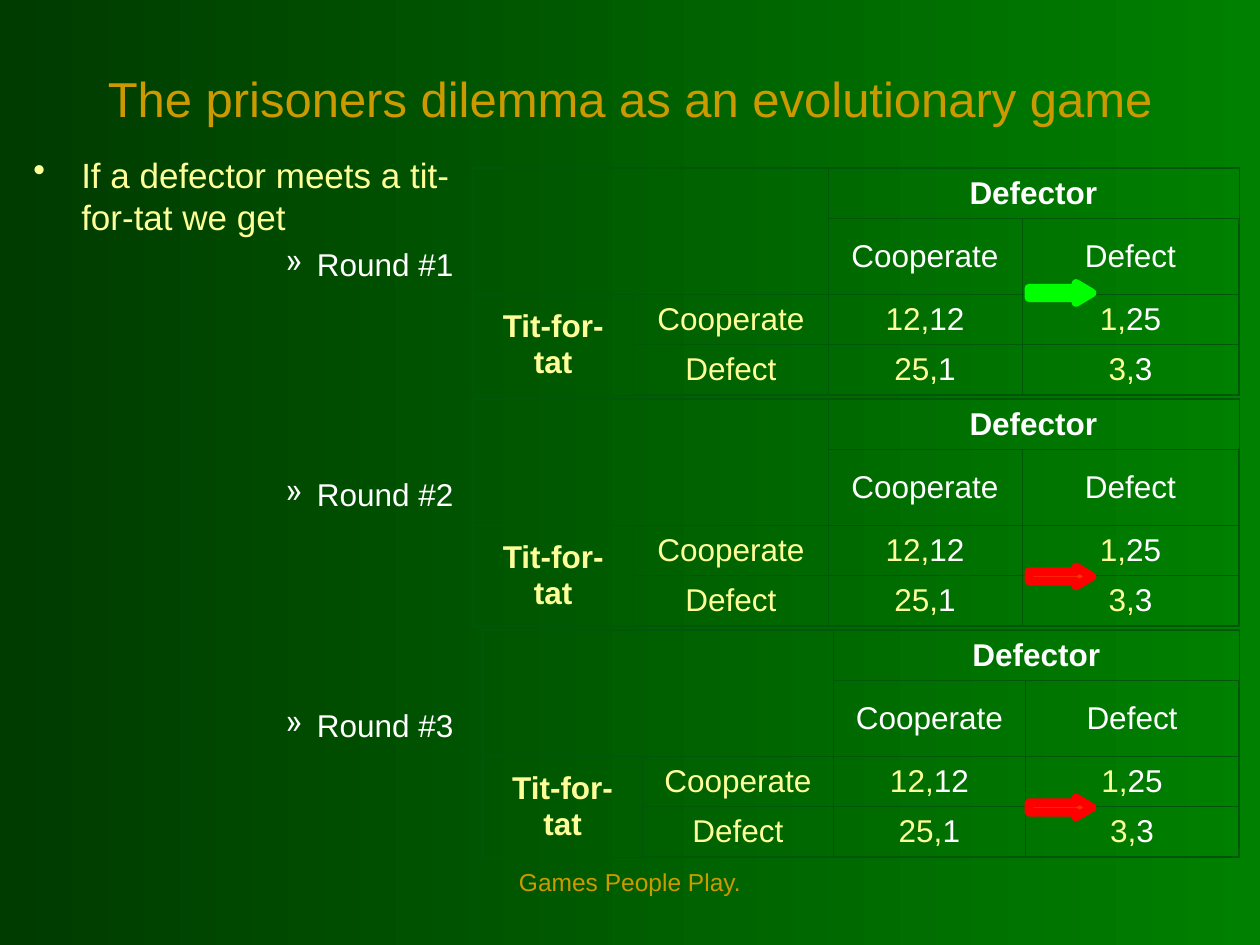
import dataclasses

import lxml.etree
import pptx
import pptx.dml.color
import pptx.enum.shapes
import pptx.enum.text
import pptx.oxml.ns
import pptx.util


@dataclasses.dataclass(frozen=True)
class Theme:
    font: str = "Arial"
    dark: str = "003B00"
    green: str = "008000"
    gold: str = "CC9900"
    cream: str = "FFFF99"
    white: str = "FFFFFF"
    border: str = "00570A"
    title_size: int = 28
    body_size: int = 20
    text_size: int = 18
    footer_size: int = 14
    inner_line: float = 0.45
    outer_line: float = 1.08


THEME = Theme()
UNIT = pptx.util.Inches(1) / 12  # the slide is a grid of 120 columns by 90 rows
GO = ("00FF00", "00FF00")  # arrow fill and line
STOP = ("FF3300", "FF0000")
ROUNDS = [  # table left and top, arrow top below the table top, arrow colours
    (45, 16, 11, GO),
    (45, 38, 16, STOP),
    (46, 60, 16, STOP),
]
TABLE_RIGHT, ARROW_LEFT = 118, 98
COLUMN_SHARES = (1.28, 1.54, 1.54, 1.72)
ROW_HEIGHTS = (4.8, 7.2, 4.8, 4.8)
CELLS = {  # row and column: own text, opponent text, bold
    (0, 2): ("", "Defector", True),
    (1, 2): ("", "Cooperate", False),
    (1, 3): ("", "Defect", False),
    (2, 0): ("Tit-for-tat", "", True),
    (2, 1): ("Cooperate", "", False),
    (2, 2): ("12,", "12", False),
    (2, 3): ("1,", "25", False),
    (3, 1): ("Defect", "", False),
    (3, 2): ("25,", "1", False),
    (3, 3): ("3,", "3", False),
}


def grid(*lengths):
    return [round(length * UNIT) for length in lengths]


def rgb(value):
    return pptx.dml.color.RGBColor.from_string(value)


def style(font, size, color, bold=False):
    font.name = THEME.font
    font.size = pptx.util.Pt(size)
    font.bold = bold
    font.color.rgb = rgb(color)


def add_child(parent, tag, **attributes):
    return lxml.etree.SubElement(parent, pptx.oxml.ns.qn(tag), attributes)


def add_text_frame(slide, box):
    frame = slide.shapes.add_textbox(*grid(*box)).text_frame
    frame.word_wrap = True
    return frame


def add_centred_line(slide, box, text, size, anchor):
    frame = add_text_frame(slide, box)
    frame.vertical_anchor = anchor
    paragraph = frame.paragraphs[0]
    paragraph.text = text
    paragraph.alignment = pptx.enum.text.PP_ALIGN.CENTER
    style(paragraph.font, size, THEME.gold)


def set_bullet(paragraph, character, color, margin, indent):
    properties = paragraph._p.get_or_add_pPr()
    properties.set("marL", str(pptx.util.Inches(margin)))
    properties.set("indent", str(pptx.util.Inches(indent)))
    add_child(add_child(properties, "a:buClr"), "a:srgbClr", val=color)
    add_child(properties, "a:buChar", char=character)


def add_body(slide, box):
    frame = add_text_frame(slide, box)
    lead = frame.paragraphs[0]
    lead.text = "If a defector meets a tit-for-tat we get"
    set_bullet(lead, "•", THEME.cream, 0.38, -0.38)
    style(lead.font, THEME.body_size, THEME.cream)

    # Each round label stands beside its table
    for number in range(1, len(ROUNDS) + 1):
        paragraph = frame.add_paragraph()
        paragraph.text = f"Round #{number}"
        paragraph.level = 4
        paragraph.space_before = pptx.util.Pt(4.5 if number == 1 else 110)
        set_bullet(paragraph, "»", THEME.white, 2.25, -0.25)
        style(paragraph.font, THEME.text_size, THEME.white)


def set_borders(cell, row, column):
    properties = cell._tc.get_or_add_tcPr()
    outer_sides = {
        "L": column == 0,
        "R": column == len(COLUMN_SHARES) - 1,
        "T": row == 0,
        "B": row == len(ROW_HEIGHTS) - 1,
    }
    for side, outer in outer_sides.items():
        width = pptx.util.Pt(THEME.outer_line if outer else THEME.inner_line)
        line = add_child(properties, f"a:ln{side}", w=str(width))
        add_child(add_child(line, "a:solidFill"), "a:srgbClr", val=THEME.border)


def fill_cell(cell, own, opponent, bold):
    cell.vertical_anchor = pptx.enum.text.MSO_ANCHOR.MIDDLE
    cell.margin_left = cell.margin_right = pptx.util.Inches(0.1)
    paragraph = cell.text_frame.paragraphs[0]
    paragraph.alignment = pptx.enum.text.PP_ALIGN.CENTER
    for text, color in ((own, THEME.cream), (opponent, THEME.white)):
        if text:
            run = paragraph.add_run()
            run.text = text
            style(run.font, THEME.text_size, color, bold)


def add_payoff_table(slide, box):
    rows, columns = len(ROW_HEIGHTS), len(COLUMN_SHARES)
    table = slide.shapes.add_table(rows, columns, *grid(*box)).table
    table.first_row = table.horz_banding = False
    for column, share in zip(table.columns, COLUMN_SHARES):
        column.width = grid(box[2] * share / sum(COLUMN_SHARES))[0]
    for row, height in zip(table.rows, ROW_HEIGHTS):
        row.height = grid(height)[0]

    for row in range(rows):
        for column in range(columns):
            cell = table.cell(row, column)
            set_borders(cell, row, column)
            cell.fill.background()
            if (row, column) in CELLS:
                fill_cell(cell, *CELLS[row, column])

    # Empty corner, opponent heading and own heading
    for first, last in (((0, 0), (1, 1)), ((0, 2), (0, 3)), ((2, 0), (3, 0))):
        table.cell(*first).merge(table.cell(*last))


def add_arrow(slide, box, colors):
    arrow = slide.shapes.add_shape(
        pptx.enum.shapes.MSO_SHAPE.RIGHT_ARROW, *grid(*box))
    arrow.adjustments[0], arrow.adjustments[1] = 0.5, 0.84
    arrow.shadow.inherit = False
    arrow.fill.solid()
    arrow.fill.fore_color.rgb = rgb(colors[0])
    arrow.line.color.rgb = rgb(colors[1])
    arrow.line.width = pptx.util.Pt(5)


def set_background(slide):
    fill = slide.background.fill
    fill.gradient()
    fill.gradient_angle = 0
    for stop, color in zip(fill.gradient_stops, (THEME.dark, THEME.green)):
        stop.color.rgb = rgb(color)


def main():
    presentation = pptx.Presentation()
    presentation.slide_width, presentation.slide_height = grid(120, 90)
    slide = presentation.slides.add_slide(presentation.slide_layouts[6])
    set_background(slide)

    # Footer, title and list of rounds
    anchors = pptx.enum.text.MSO_ANCHOR
    add_centred_line(slide, (41, 82, 38, 6.2), "Games People Play.",
                     THEME.footer_size, anchors.TOP)
    add_centred_line(slide, (6, 3.6, 108, 11.4),
                     "The prisoners dilemma as an evolutionary game",
                     THEME.title_size, anchors.MIDDLE)
    add_body(slide, (2, 14, 44, 61.4))

    # Payoff tables, then the arrows over them
    for left, top, _, _ in ROUNDS:
        add_payoff_table(slide, (left, top, TABLE_RIGHT - left, sum(ROW_HEIGHTS)))
    for _, top, offset, colors in ROUNDS:
        add_arrow(slide, (ARROW_LEFT, top + offset, 6, 1.8), colors)
    presentation.save("out.pptx")


if __name__ == "__main__":
    main()
